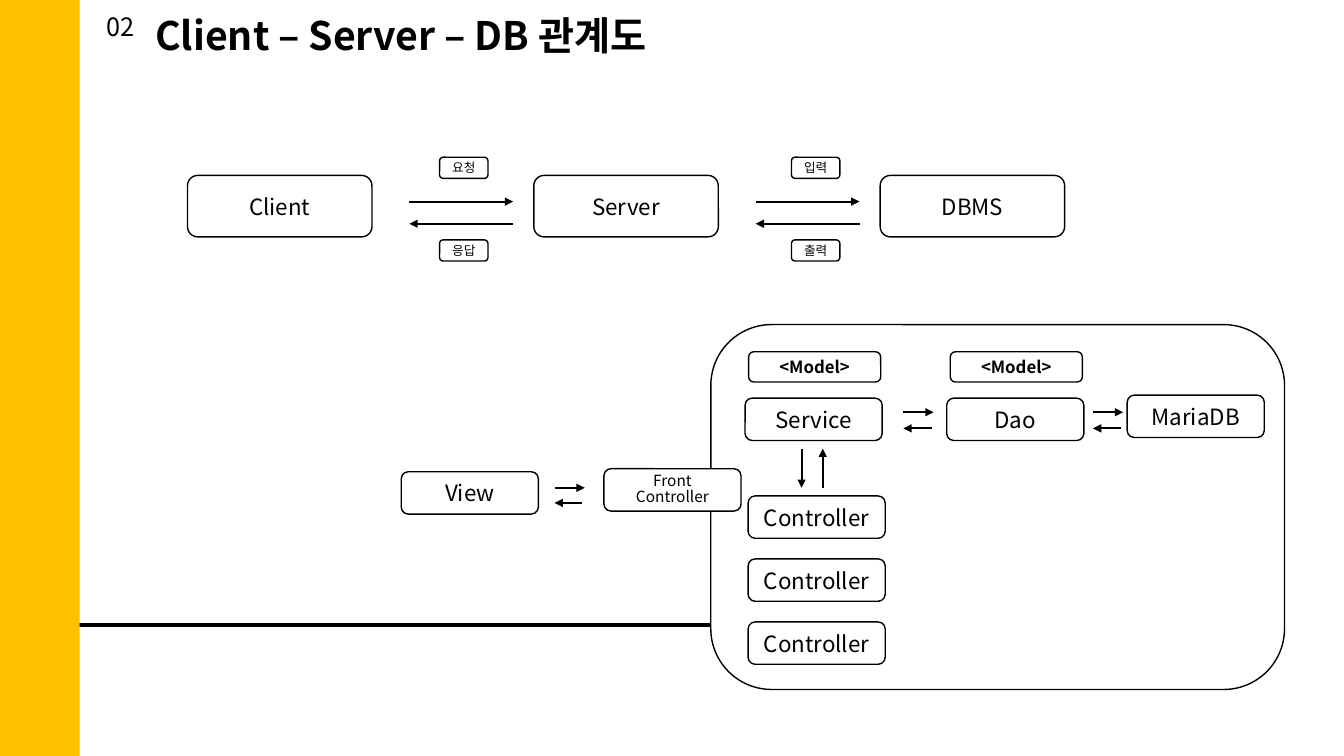
import pptx
import pptx.dml.color
import pptx.enum.shapes
import pptx.enum.text
import pptx.oxml
import pptx.oxml.ns
import pptx.util
from pptx.util import Inches

FONT = "Noto Sans CJK KR"
BLACK, WHITE, YELLOW = "000000", "FFFFFF", "FFC000"
SHAPES = pptx.enum.shapes.MSO_SHAPE
ALIGN = pptx.enum.text.PP_ALIGN


def color(value):
    return pptx.dml.color.RGBColor.from_string(value)


def drawing_element(tag, **attributes):
    element = pptx.oxml.parse_xml(f"<a:{tag} {pptx.oxml.ns.nsdecls('a')}/>")
    for name, value in attributes.items():
        element.set(name, value)
    return element


def write_text(shape, text, size=16, bold=False, align=ALIGN.CENTER,
               wrap=True, inset=0.0, spacing=1.0):
    frame = shape.text_frame
    frame.auto_size = pptx.enum.text.MSO_AUTO_SIZE.NONE
    frame.word_wrap = wrap
    frame.vertical_anchor = pptx.enum.text.MSO_ANCHOR.MIDDLE
    frame.margin_left = frame.margin_right = Inches(inset)
    frame.margin_top = frame.margin_bottom = 0
    frame.text = text
    for paragraph in frame.paragraphs:
        paragraph.alignment = align
        paragraph.line_spacing = spacing
        for run in paragraph.runs:
            run.font.size = pptx.util.Pt(size)
            run.font.bold = bold
            run.font.color.rgb = color(BLACK)
            run.font.name = FONT
            run.font._element.append(drawing_element("ea", typeface=FONT))


def add_box(slide, left, top, width, height, text="", kind=SHAPES.ROUNDED_RECTANGLE,
            fill=WHITE, outline=True, **text_format):
    shape = slide.shapes.add_shape(
        kind, Inches(left), Inches(top), Inches(width), Inches(height))
    shape.shadow.inherit = False
    shape.fill.solid()
    shape.fill.fore_color.rgb = color(fill)
    if outline:
        shape.line.color.rgb = color(BLACK)
        shape.line.width = pptx.util.Pt(1)
    else:
        shape.line.fill.background()
    if text:
        write_text(shape, text, **text_format)
    return shape


def add_line(slide, start, end, width=1.5, arrow=True):
    connector = slide.shapes.add_connector(
        pptx.enum.shapes.MSO_CONNECTOR.STRAIGHT,
        *(Inches(value) for value in (*start, *end)))
    connector.line.color.rgb = color(BLACK)
    connector.line.width = pptx.util.Pt(width)
    if arrow:
        connector.line._get_or_add_ln().append(drawing_element("tailEnd", type="triangle"))
    connector._element.spPr.append(drawing_element("effectLst"))


def add_exchange(slide, left, top, length, gap, back_length):
    """Arrow to the right, and below it the arrow back."""
    add_line(slide, (left, top), (left + length, top))
    add_line(slide, (left + back_length, top + gap), (left, top + gap))


def add_component(slide, left, top, text, **text_format):
    add_box(slide, left, top, 1.36, 0.42, text, **text_format)


def add_frame(slide):
    # Side bar and base rule
    add_line(slide, (0.59, 6.2), (7.25, 6.2), width=3, arrow=False)
    add_box(slide, 0, 0, 0.79, 7.5, kind=SHAPES.RECTANGLE, fill=YELLOW, outline=False)

    # Section number and title
    number = slide.shapes.add_textbox(
        Inches(0.96), Inches(0.06), Inches(0.48), Inches(0.4))
    write_text(number, "02", size=18, align=ALIGN.LEFT, wrap=False, inset=0.1)
    title = slide.shapes.title
    title.left, title.top = Inches(1.44), Inches(0.06)
    title.width, title.height = Inches(5.27), Inches(0.57)
    write_text(title, "Client – Server – DB 관계도", size=28, bold=True,
               align=ALIGN.LEFT, wrap=False, inset=0.1)


def add_overview(slide, left, top):
    """Three tiers in a row, with labelled exchanges between them."""
    pitch = 3.435
    for index, tier in enumerate(("Client", "Server", "DBMS")):
        add_box(slide, left + index * pitch, top, 1.83, 0.61, tier)
    links = ((2.5, "요청", "응답"), (5.99, "입력", "출력"))
    for index, (offset, forward, back) in enumerate(links):
        add_exchange(slide, left + 2.2 + index * pitch, top + 0.26, 1.03, 0.22, 1.03)
        for label_top, label in ((-0.18, forward), (0.64, back)):
            add_box(slide, left + offset, top + label_top, 0.48, 0.21, label, size=9)


def add_server_panel(slide, left, top):
    add_box(slide, left, top, 5.69, 3.62)

    # Model layer
    for offset, name in ((0.34, "Service"), (2.34, "Dao")):
        add_box(slide, left + offset + 0.035, top + 0.27, 1.31, 0.3, "<Model>",
                size=12, bold=True)
        add_component(slide, left + offset, top + 0.73, name)
    add_component(slide, left + 4.13, top + 0.7, "MariaDB")
    for offset in (1.91, 3.79):
        add_exchange(slide, left + offset, top + 0.87, 0.3, 0.16, 0.28)

    # Service and controllers
    upper, lower = top + 1.23, top + 1.62
    add_line(slide, (left + 0.9, upper), (left + 0.9, lower))
    add_line(slide, (left + 1.11, lower), (left + 1.11, upper))
    for index in range(3):
        add_component(slide, left + 0.37, top + 1.7 + index * 0.625, "Controller")


def add_entry(slide, left, top):
    """View and front controller, which overlaps the server panel."""
    add_component(slide, left, top, "View")
    add_exchange(slide, left + 1.52, top + 0.16, 0.3, 0.15, 0.27)
    add_component(slide, left + 2.01, top - 0.03, "Front\nController",
                  size=11, spacing=0.85)


def main():
    presentation = pptx.Presentation()
    presentation.slide_width = Inches(13.33)
    presentation.slide_height = Inches(7.5)
    slide = presentation.slides.add_slide(presentation.slide_layouts[5])
    add_frame(slide)
    add_overview(slide, 1.86, 1.74)
    add_server_panel(slide, 7.05, 3.22)
    add_entry(slide, 3.98, 4.68)
    presentation.save("out.pptx")


if __name__ == "__main__":
    main()
